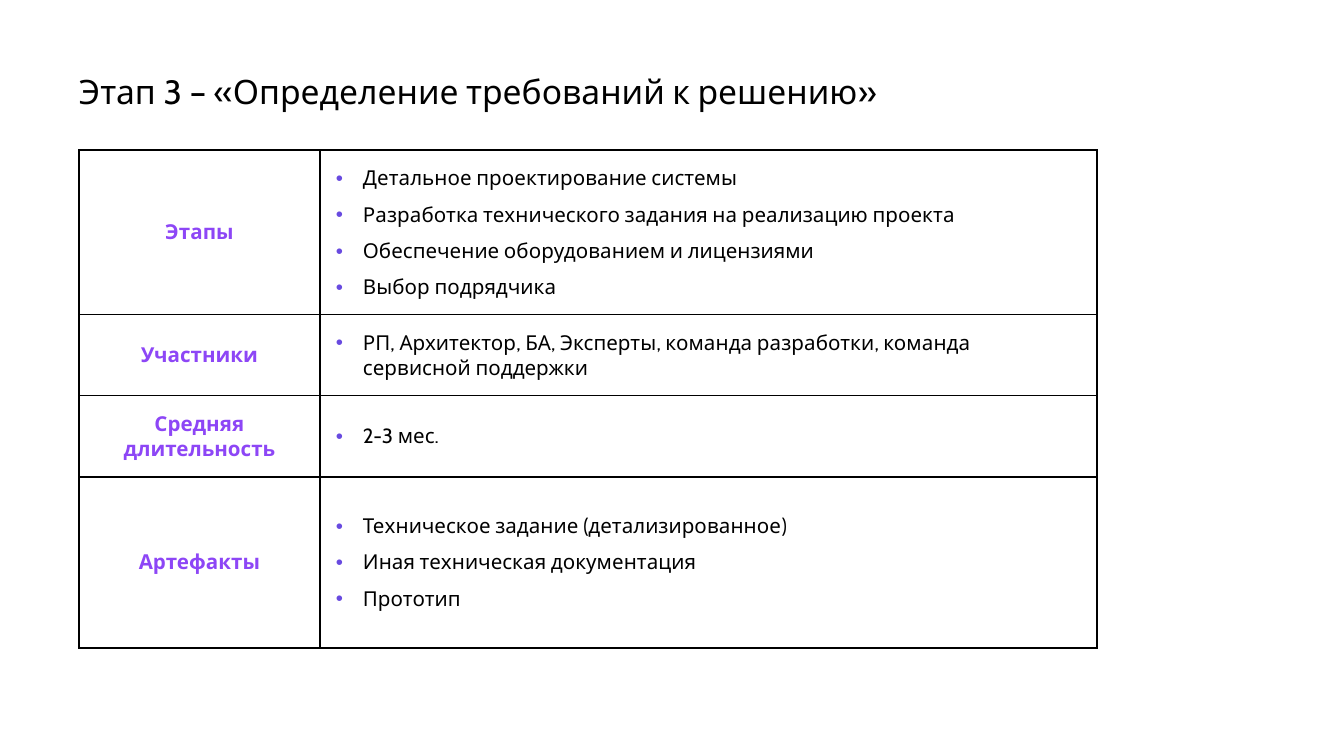
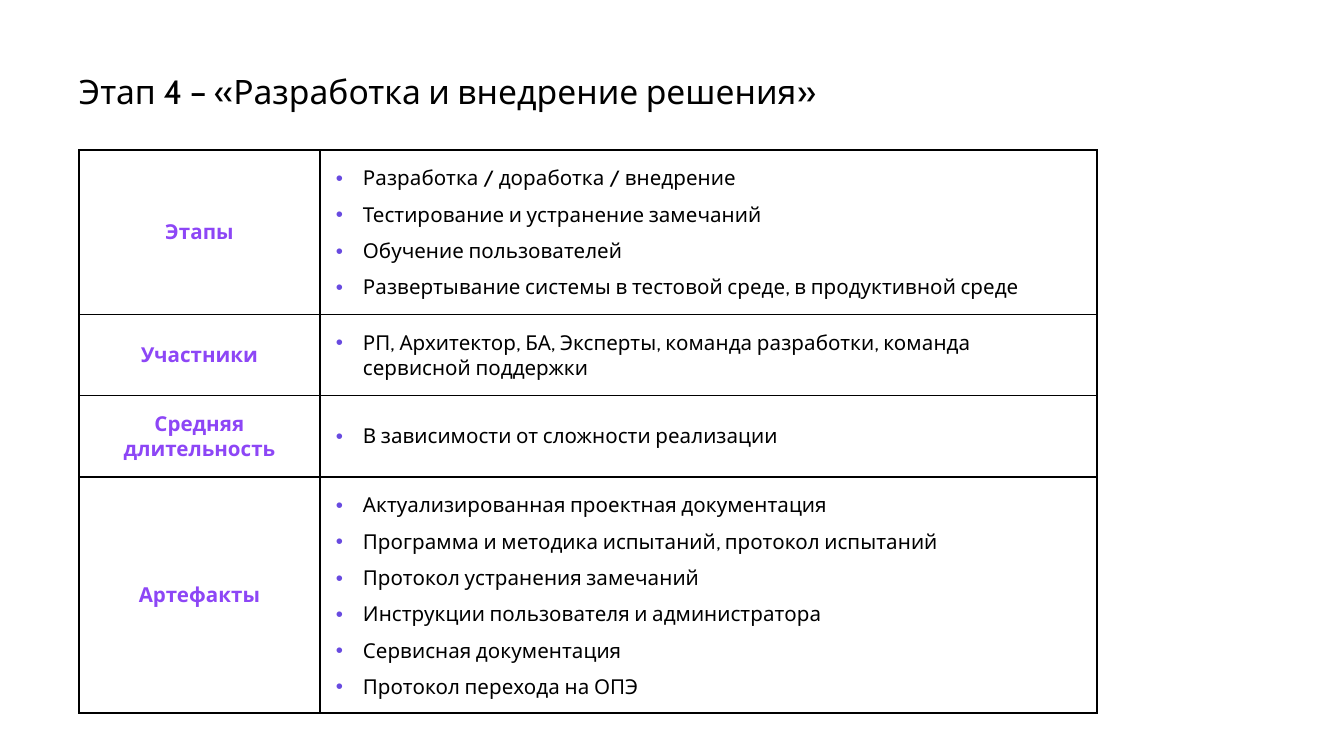
"""Build two project stage slides, each with a title and a summary table."""
from lxml import etree
from pptx import Presentation
from pptx.dml.color import RGBColor
from pptx.enum.text import MSO_ANCHOR, MSO_AUTO_SIZE, PP_ALIGN
from pptx.oxml.ns import qn
from pptx.util import Pt

LABELS = ["Этапы", "Участники", "Средняя длительность", "Артефакты"]
TEAM = ["РП, Архитектор, БА, Эксперты, команда разработки, команда сервисной поддержки"]

STAGES = [
    {
        "title": "Этап 3 – «Определение требований к решению»",
        "rows": [
            [
                "Детальное проектирование системы",
                "Разработка технического задания на реализацию проекта",
                "Обеспечение оборудованием и лицензиями",
                "Выбор подрядчика",
            ],
            TEAM,
            ["2-3 мес."],
            [
                "Техническое задание (детализированное)",
                "Иная техническая документация",
                "Прототип",
            ],
        ],
        "heights": [164, 81, 81, 171],
    },
    {
        "title": "Этап 4 – «Разработка и внедрение решения»",
        "rows": [
            [
                "Разработка / доработка / внедрение",
                "Тестирование и устранение замечаний",
                "Обучение пользователей",
                "Развертывание системы в тестовой среде, в продуктивной среде",
            ],
            TEAM,
            ["В зависимости от сложности реализации"],
            [
                "Актуализированная проектная документация",
                "Программа и методика испытаний, протокол испытаний",
                "Протокол устранения замечаний",
                "Инструкции пользователя и администратора",
                "Сервисная документация",
                "Протокол перехода на ОПЭ",
            ],
        ],
        "heights": [164, 81, 81, 236],
    },
]

FONT = "Cabin"
BLACK, WHITE, PURPLE, BULLET = "000000", "FFFFFF", "8D46F6", "684AE0"
LEFT, TITLE_TOP, TABLE_TOP = 79, 70, 150
TITLE_SIZE = (876, 42)
COLUMNS = [241, 777]
CELL_INSET, BULLET_INDENT = 16, 27
MIDDLE, CENTER, LEFT_ALIGN = MSO_ANCHOR.MIDDLE, PP_ALIGN.CENTER, PP_ALIGN.LEFT
FIT_SHAPE = MSO_AUTO_SIZE.SHAPE_TO_FIT_TEXT


def px(length):
    return round(length * 914400 / 134.4)


def color(value):
    return RGBColor.from_string(value)


def style_font(paragraph, size, value, bold=False):
    font = paragraph.font
    font.name, font.size, font.bold = FONT, Pt(size), bold
    font.color.rgb = color(value)


def add_bullet(paragraph):
    properties = paragraph._p.get_or_add_pPr()
    properties.set("marL", str(px(BULLET_INDENT)))
    properties.set("indent", str(-px(BULLET_INDENT)))
    bullet_color = etree.SubElement(properties, qn("a:buClr"))
    etree.SubElement(bullet_color, qn("a:srgbClr"), val=BULLET)
    etree.SubElement(properties, qn("a:buFont"), typeface="Arial")
    etree.SubElement(properties, qn("a:buChar"), char="•")


def add_borders(cell):
    properties = cell._tc.get_or_add_tcPr()
    for position, side in enumerate(("lnL", "lnR", "lnT", "lnB")):
        line = etree.Element(qn(f"a:{side}"), w=str(Pt(1)))
        fill = etree.SubElement(line, qn("a:solidFill"))
        etree.SubElement(fill, qn("a:srgbClr"), val=BLACK)
        properties.insert(position, line)


def fill_cell(cell, texts, is_label):
    cell.fill.background()
    add_borders(cell)
    cell.vertical_anchor = MIDDLE
    cell.margin_left = cell.margin_right = px(CELL_INSET)
    cell.margin_top = cell.margin_bottom = px(CELL_INSET)
    frame = cell.text_frame
    for index, text in enumerate(texts):
        paragraph = frame.add_paragraph() if index else frame.paragraphs[0]
        paragraph.text = text
        if not is_label:
            add_bullet(paragraph)
        paragraph.alignment = CENTER if is_label else LEFT_ALIGN
        paragraph.space_before = Pt(6 if index else 0)
        style_font(paragraph, 11, PURPLE if is_label else BLACK, is_label)


def add_title(slide, text):
    width, height = TITLE_SIZE
    shape = slide.shapes.add_textbox(px(LEFT), px(TITLE_TOP), px(width), px(height))
    frame = shape.text_frame
    frame.word_wrap = True
    frame.auto_size = FIT_SHAPE
    frame.margin_left = frame.margin_right = frame.margin_bottom = 0
    frame.margin_top = px(1)
    paragraph = frame.paragraphs[0]
    paragraph.text = text
    style_font(paragraph, 18, BLACK)


def add_stage_table(slide, rows, heights):
    shape = slide.shapes.add_table(
        len(rows), len(COLUMNS), px(LEFT), px(TABLE_TOP), px(sum(COLUMNS)), px(sum(heights))
    )
    table = shape.table
    table.first_row = table.horz_banding = False
    for column, width in zip(table.columns, COLUMNS):
        column.width = px(width)
    for index, (label, items, height) in enumerate(zip(LABELS, rows, heights)):
        table.rows[index].height = px(height)
        fill_cell(table.cell(index, 0), [label], True)
        fill_cell(table.cell(index, 1), items, False)


def main():
    presentation = Presentation()
    presentation.slide_width, presentation.slide_height = px(1344), px(756)
    for stage in STAGES:
        slide = presentation.slides.add_slide(presentation.slide_layouts[6])
        background = slide.background.fill
        background.solid()
        background.fore_color.rgb = color(WHITE)
        add_title(slide, stage["title"])
        add_stage_table(slide, stage["rows"], stage["heights"])
    presentation.save("out.pptx")


if __name__ == "__main__":
    main()
